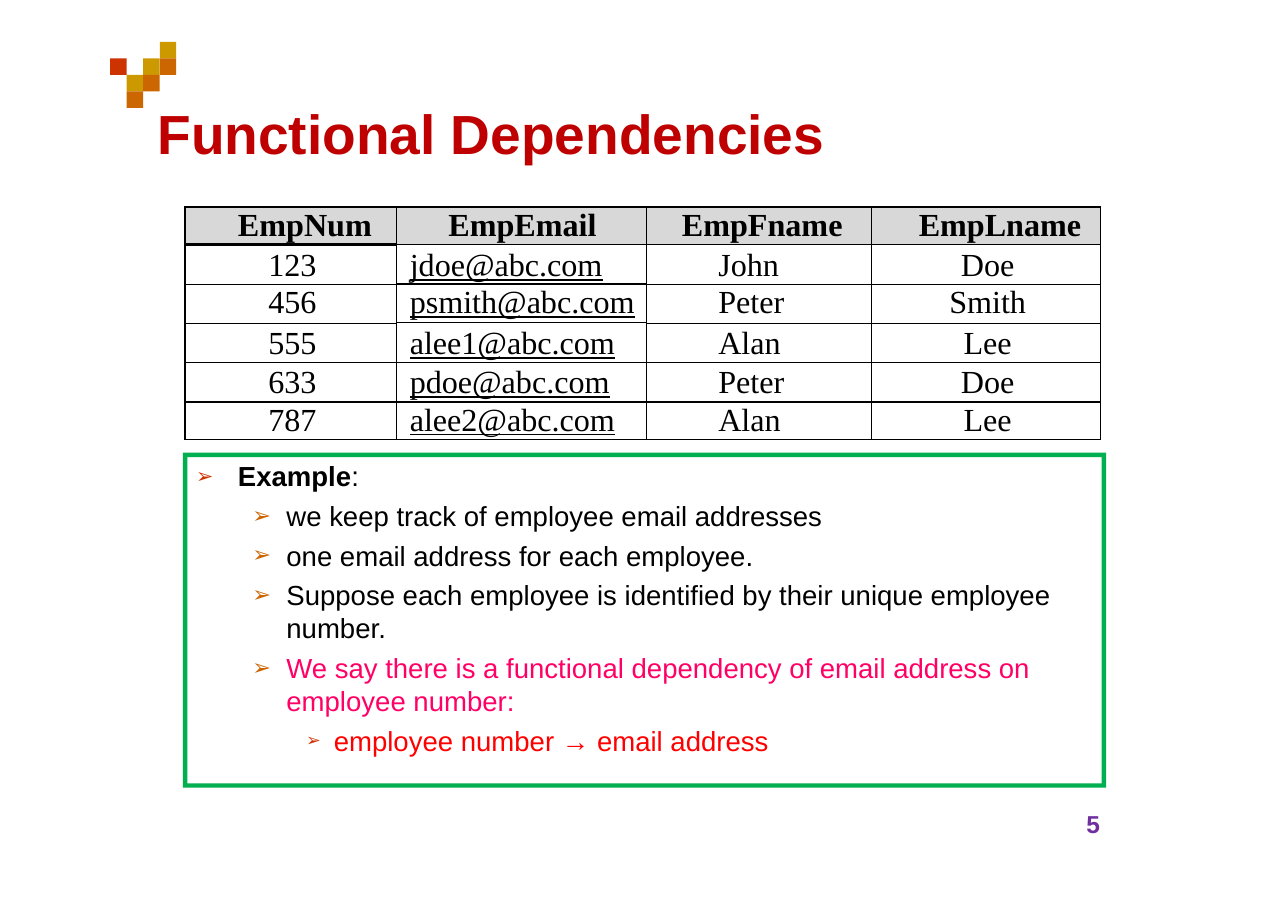
from dataclasses import dataclass

from lxml.etree import SubElement
from pptx import Presentation
from pptx.dml.color import RGBColor
from pptx.enum.shapes import MSO_SHAPE as Shape
from pptx.enum.text import MSO_ANCHOR as Anchor, MSO_AUTO_SIZE as AutoSize, PP_ALIGN as Align
from pptx.oxml.ns import qn
from pptx.util import Emu, Pt

BLACK = "000000"
RED = "CC3300"
ORANGE = "CC6600"
GOLD = "CC9900"
SQUARE = 15


@dataclass(frozen=True)
class Square:
    column: int
    row: int
    color: str


@dataclass(frozen=True)
class Span:
    text: str
    color: str = BLACK
    bold: bool = False


@dataclass(frozen=True)
class Level:
    margin: int
    hanging: int
    bullet_color: str
    bullet_percent: int


@dataclass(frozen=True)
class Point:
    level: int
    spans: tuple[Span, ...]


@dataclass(frozen=True)
class Column:
    width: int
    header_indent: int
    indent: int
    align: Align
    left: float
    right: float
    rules: tuple[float, ...]


@dataclass(frozen=True)
class Row:
    height: int
    top_inset: int
    line: float
    before: float
    texts: tuple[str, ...]


SQUARES = (
    Square(3, 0, GOLD), Square(2, 1, GOLD), Square(1, 2, GOLD),
    Square(3, 1, ORANGE), Square(2, 2, ORANGE), Square(1, 3, ORANGE),
    Square(0, 1, RED),
)

LEVELS = (
    Level(39, 38, RED, 75),
    Level(83, 31, ORANGE, 81),
    Level(126, 25, RED, 64),
)

POINTS = (
    Point(0, (Span("Example", bold=True), Span(":"))),
    Point(1, (Span("we keep track of employee email addresses"),)),
    Point(1, (Span("one email address for each employee."),)),
    Point(1, (Span("Suppose each employee is identified by their unique employee number."),)),
    Point(1, (Span("We say there is a functional dependency of email address on "
                   "employee number:", "FF0066"),)),
    Point(2, (Span("employee number → email address", "FF0000"),)),
)

# Each column's rules run from the top edge of the table to its bottom edge.
NAME_RULES = (1, 0.5, 0.5, 0.25, 1, 1, 0.25)
COLUMNS = (
    Column(192, 48, 3, Align.CENTER, 1, 1, (1, 2.25, 0.5, 0.25, 1, 1, 0.25)),
    Column(227, 47, 12, Align.LEFT, 1, 0.5, (1, 1, 1.5, 1, 1, 1, 1)),
    Column(204, 32, 65, Align.LEFT, 0.5, 0.25, NAME_RULES),
    Column(208, 43, 3, Align.CENTER, 0.25, 0.75, NAME_RULES),
)
EMAIL_COLUMN = 1

ROWS = (
    Row(34, 0, 23.6, 0, ("EmpNum", "EmpEmail", "EmpFname", "EmpLname")),
    Row(36, 1, 24.1, 0.8, ("123", "jdoe@abc.com", "John", "Doe")),
    Row(35, 0, 23.9, 0, ("456", "psmith@abc.com", "Peter", "Smith")),
    Row(36, 1, 24.3, 0.5, ("555", "alee1@abc.com", "Alan", "Lee")),
    Row(36, 0, 24.8, 0, ("633", "pdoe@abc.com", "Peter", "Doe")),
    Row(34, 0, 23.5, 0, ("787", "alee2@abc.com", "Alan", "Lee")),
)


def px(length: int) -> Emu:
    """Scale: 100 px to the inch."""
    return Emu(length * 9144)


def rgb(color: str) -> RGBColor:
    return RGBColor.from_string(color)


def add_span(para, span: Span, size: float, font: str = "Arial"):
    run = para.add_run()
    run.text = span.text
    run.font.name = font
    run.font.size = Pt(size)
    run.font.bold = span.bold
    run.font.color.rgb = rgb(span.color)
    return run


def add_block(page, preset: Shape, left: int, top: int, width: int, height: int, color: str):
    block = page.shapes.add_shape(preset, px(left), px(top), px(width), px(height))
    block.shadow.inherit = False
    block.fill.solid()
    block.fill.fore_color.rgb = rgb(color)
    block.line.fill.background()
    return block


def set_frame(box, top_inset: int = 0):
    frame = box.text_frame
    frame.word_wrap = True
    frame.auto_size = AutoSize.NONE
    frame.vertical_anchor = Anchor.TOP
    frame.margin_left = frame.margin_right = frame.margin_bottom = 0
    frame.margin_top = px(top_inset)
    return frame


def add_text_box(page, left: int, top: int, width: int, height: int, top_inset: int = 0):
    box = page.shapes.add_textbox(px(left), px(top), px(width), px(height))
    return set_frame(box, top_inset)


def add_title(page) -> None:
    title = page.shapes.title
    title.left, title.top, title.width, title.height = px(143), px(89), px(608), px(63)
    para = set_frame(title, 1).paragraphs[0]
    para.alignment = Align.LEFT
    add_span(para, Span("Functional Dependencies", "BF0000", True), 36)


def set_bullet(para, level: Level) -> None:
    props = para._p.get_or_add_pPr()
    props.set("marL", str(px(level.margin)))
    props.set("indent", str(px(-level.hanging)))
    SubElement(SubElement(props, qn("a:buClr")), qn("a:srgbClr"), val=level.bullet_color)
    SubElement(props, qn("a:buSzPct"), val=str(level.bullet_percent * 1000))
    SubElement(props, qn("a:buFont"), typeface="Arial")
    SubElement(props, qn("a:buChar"), char="➢")


def add_points(page) -> None:
    frame = add_text_box(page, 177, 410, 777, 279, 7)
    for index, point in enumerate(POINTS):
        para = frame.add_paragraph() if index else frame.paragraphs[0]
        para.level = point.level
        set_bullet(para, LEVELS[point.level])
        if index:
            para.space_before = Pt(4.3)
        for span in point.spans:
            add_span(para, span, 18)


def set_borders(cell, widths: dict[str, float]) -> None:
    props = cell._tc.get_or_add_tcPr()
    for side, width in widths.items():
        line = SubElement(props, qn(f"a:ln{side}"), w=str(Pt(width)))
        SubElement(SubElement(line, qn("a:solidFill")), qn("a:srgbClr"), val=BLACK)


def fill_cell(cell, row_index: int, column_index: int) -> None:
    row, column = ROWS[row_index], COLUMNS[column_index]
    header = row_index == 0
    set_borders(cell, {"L": column.left, "R": column.right,
                       "T": column.rules[row_index], "B": column.rules[row_index + 1]})
    if header:
        cell.fill.solid()
        cell.fill.fore_color.rgb = rgb("D8D8D8")
    else:
        cell.fill.background()
    cell.margin_left = px(column.header_indent if header else column.indent)
    cell.margin_top = px(row.top_inset) + Pt(row.before)
    cell.margin_right = cell.margin_bottom = 0
    para = cell.text_frame.paragraphs[0]
    para.alignment = Align.LEFT if header else column.align
    para.line_spacing = Pt(row.line)
    run = add_span(para, Span(row.texts[column_index], bold=header), 21, "Times New Roman")
    run.font.underline = column_index == EMAIL_COLUMN and not header


def add_employees(page) -> None:
    width = sum(column.width for column in COLUMNS)
    height = sum(row.height for row in ROWS)
    table = page.shapes.add_table(len(ROWS), len(COLUMNS), px(168), px(188),
                                  px(width), px(height)).table
    table.first_row = table.horz_banding = False
    for index, column in enumerate(COLUMNS):
        table.columns[index].width = px(column.width)
    for row_index, row in enumerate(ROWS):
        table.rows[row_index].height = px(row.height)
        for column_index in range(len(COLUMNS)):
            fill_cell(table.cell(row_index, column_index), row_index, column_index)


def main() -> None:
    deck = Presentation()
    deck.slide_width, deck.slide_height = px(1169), px(826)
    page = deck.slides.add_slide(deck.slide_layouts[5])
    for square in SQUARES:
        add_block(page, Shape.RECTANGLE, 100 + square.column * SQUARE,
                  38 + square.row * SQUARE, SQUARE, SQUARE, square.color)
    add_title(page)
    border = add_block(page, Shape.FRAME, 166, 411, 838, 304, "00AF4F")
    border.adjustments[0] = 4 / 304
    add_points(page)
    number = add_text_box(page, 986, 735, 17, 28).paragraphs[0]
    number.line_spacing = Pt(18.8)
    add_span(number, Span("5", "6F2F9F", True), 16)
    add_employees(page)
    deck.save("out.pptx")


if __name__ == "__main__":
    main()
